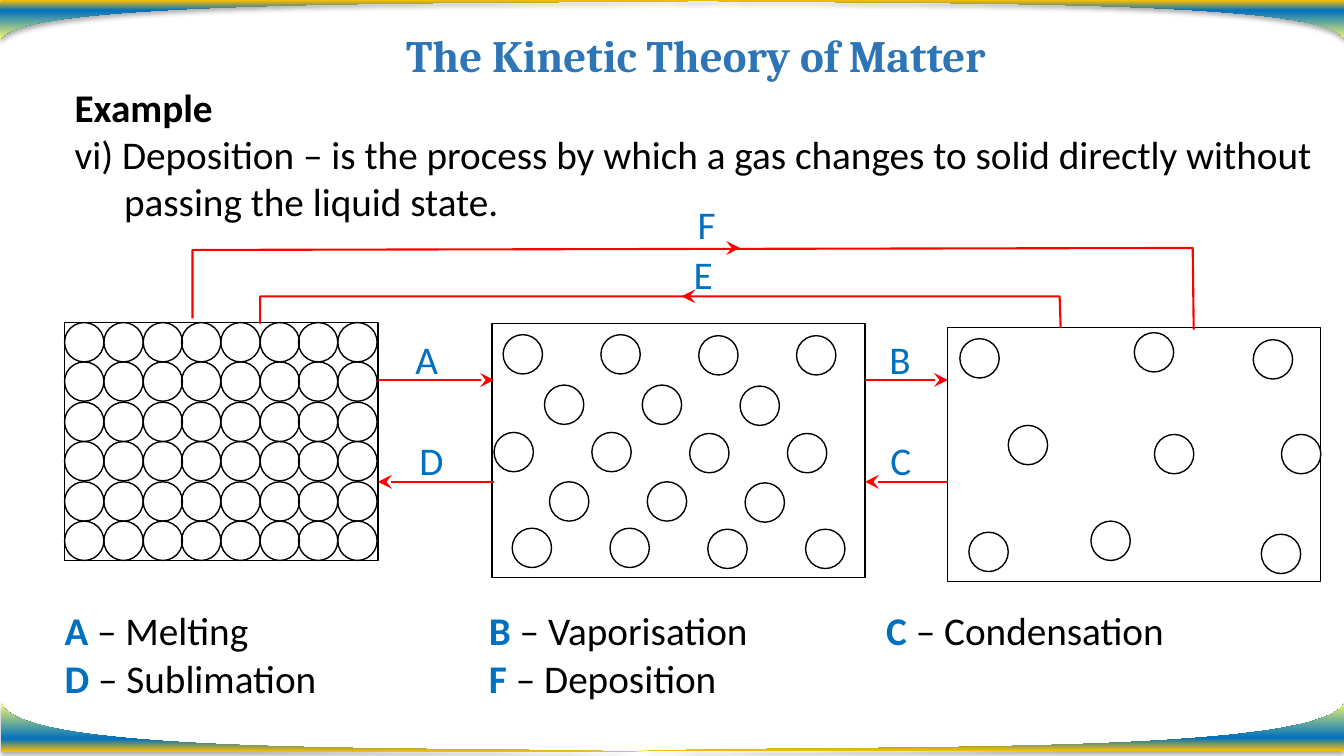
"""Build the slide on changes of state in the kinetic theory of matter."""
from lxml import etree
from pptx import Presentation
from pptx import util as u
from pptx.dml.color import RGBColor
from pptx.enum import shapes, text
from pptx.oxml import parse_xml
from pptx.oxml.ns import nsdecls, qn

PX = 9144
THEME = {
    "title": {"name": "Cambria", "size": u.Pt(32), "bold": True, "color": "2E75B6"},
    "plain": {"name": "Calibri", "size": u.Pt(28), "bold": False, "color": "000000"},
    "strong": {"name": "Calibri", "size": u.Pt(28), "bold": True, "color": "000000"},
    "label": {"name": "Calibri", "size": u.Pt(28), "bold": False, "color": "0070C0"},
    "key": {"name": "Calibri", "size": u.Pt(28), "bold": True, "color": "0070C0"},
    "outline": "000000",
    "arrow": "FF0000",
    "frame": [(0, "FFC000"), (26, "0070C0"), (100, "FFFF66")],
}


def write(p, *pieces):
    for style, words in pieces:
        r = p.add_run()
        r.text = words
        for name, value in THEME[style].items():
            if name == "color":
                r.font.color.rgb = RGBColor.from_string(value)
            else:
                setattr(r.font, name, value)


def polyline(points, close):
    scaled = [(x * PX, y * PX) for x, y in points]
    fb = s.shapes.build_freeform(*scaled[0])
    fb.add_line_segments(scaled[1:], close=close)
    sp = fb.convert_to_shape()
    sp.shadow.inherit = False
    sp.fill.background()
    sp.line.fill.background()
    return sp


prs = Presentation()
prs.slide_width, prs.slide_height = 1333 * PX, 750 * PX
s = prs.slides.add_slide(prs.slide_layouts[1])
title, body = s.placeholders

corners = [
    ((1, 746), (637, 746), (425, 740), (11, 751), (1, 696), 270),
    ((1333, 745), (637, 745), (868, 739), (1322, 750), (1334, 695), 270),
    ((1, 0), (752, 0), (502, 5), (13, -4), (0, 40), 90),
    ((1333, 0), (648, 0), (876, 5), (1322, -4), (1334, 40), 90),
]
for corner, start, *bends, end, angle in corners:
    sp = polyline([corner, start, end], True)
    spPr = sp._element.spPr
    edge = spPr.findall(".//" + qn("a:lnTo"))[1]
    curve = etree.Element(qn("a:cubicBezTo"))
    for x, y in (*bends, end):
        etree.SubElement(curve, qn("a:pt"), x=str(x * PX - sp.left), y=str(y * PX - sp.top))
    edge.getparent().replace(edge, curve)
    stops = "".join(f'<a:gs pos="{pos * 1000}"><a:srgbClr val="{color}"/></a:gs>'
                    for pos, color in THEME["frame"])
    spPr.replace(spPr.find(qn("a:noFill")), parse_xml(
        f'<a:gradFill {nsdecls("a")}><a:gsLst>{stops}</a:gsLst>'
        f'<a:lin ang="{angle * 60000}" scaled="0"/></a:gradFill>'))
    spPr.find(qn("a:effectLst")).append(parse_xml(
        f'<a:outerShdw {nsdecls("a")} blurRad="{u.Pt(3.5)}" dist="{u.Pt(2.2)}" dir="5400000">'
        '<a:srgbClr val="000000"><a:alpha val="32000"/></a:srgbClr></a:outerShdw>'))

for sp, box in ((title, (100, 15, 1181, 85)), (body, (64, 78, 1254, 621))):
    sp.left, sp.top, sp.width, sp.height = (v * PX for v in box)
    sp.text_frame.auto_size = text.MSO_AUTO_SIZE.NONE

title.text_frame.vertical_anchor = text.MSO_ANCHOR.MIDDLE
p = title.text_frame.paragraphs[0]
p.alignment, p.line_spacing = text.PP_ALIGN.CENTER, 0.9
write(p, ("title", "The Kinetic Theory of Matter"))

tf = body.text_frame
tf.vertical_anchor = text.MSO_ANCHOR.TOP
definition = ("vi) Deposition – is the process by which a gas changes to solid "
              "directly without passing the liquid state.")
for p, indent, piece in (
    (tf.paragraphs[0], 0, ("strong", "Example")),
    (tf.add_paragraph(), 49, ("plain", definition)),
):
    pPr = p._p.get_or_add_pPr()
    pPr.set("marL", str(indent * PX))
    pPr.set("indent", str(-indent * PX))
    etree.SubElement(pPr, qn("a:buNone"))
    p.space_before, p.line_spacing = u.Pt(0), 1.0
    write(p, piece)

RECT, OVAL = shapes.MSO_SHAPE.RECTANGLE, shapes.MSO_SHAPE.OVAL
SIZE = 39
liquid_rows = [(499, 332, 4), (540, 382, 3), (490, 429, 4), (545, 478, 3), (508, 524, 4)]
gas = [(952, 336), (1125, 330), (1000, 422), (1243, 337), (1145, 431),
       (1271, 431), (961, 528), (1082, 517), (1251, 530)]
liquid = [(x + 97 * i, y + i // 2) for x, y, count in liquid_rows for i in range(count)]
solid = [(64 + round(38.75 * col), 320 + round(39.4 * row))
         for row in range(6) for col in range(8)]
states = [((488, 321, 370, 252), liquid), ((940, 325, 370, 252), gas),
          ((64, 320, 311, 236), solid)]
for container, particles in states:
    outlines = [(RECT, container)] + [(OVAL, (x, y, SIZE, SIZE)) for x, y in particles]
    for kind, box in outlines:
        sp = s.shapes.add_shape(kind, *(v * PX for v in box))
        sp.shadow.inherit = False
        sp.fill.background()
        sp.line.color.rgb = RGBColor.from_string(THEME["outline"])
        sp.line.width = u.Pt(1)

for points in (
    [(191, 316), (191, 248), (1183, 246), (1184, 327)],
    [(258, 321), (258, 294), (1051, 294), (1052, 325)],
):
    sp = polyline(points, False)
    sp.line.color.rgb = RGBColor.from_string(THEME["arrow"])
    sp.line.width = u.Pt(1.5)

arrows = [(375, 490, 377, 1.5), (490, 375, 478, 1.5), (858, 940, 377, 1.5),
          (940, 858, 478, 1.5), (659, 734, 246, 0.25), (752, 676, 294, 0.25)]
for start, end, y, width in arrows:
    cn = s.shapes.add_connector(shapes.MSO_CONNECTOR.STRAIGHT,
                                start * PX, y * PX, end * PX, y * PX)
    cn.line.color.rgb = RGBColor.from_string(THEME["arrow"])
    cn.line.width = u.Pt(width)
    etree.SubElement(cn.line._get_or_add_ln(), qn("a:tailEnd"), type="stealth", w="lg", len="lg")
    etree.SubElement(cn._element.spPr, qn("a:effectLst"))

labels = [("A", 412, 333), ("D", 416, 433), ("B", 882, 333),
          ("C", 883, 433), ("E", 688, 248), ("F", 692, 199)]
boxes = [((x, y, 38, 47), [[("label", letter)]]) for letter, x, y in labels]
boxes.append(((64, 602, 1246, 94), [
    [("key", "A"), ("plain", " – Melting\t"), ("key", "B"), ("plain", " – Vaporisation\t"),
     ("key", "C"), ("plain", " – Condensation")],
    [("key", "D"), ("plain", " – Sublimation\t"), ("key", "F"), ("plain", " – Deposition")],
]))
frame_format = {"word_wrap": True, "margin_left": 0, "margin_right": 0, "margin_top": 0,
                "margin_bottom": 0, "auto_size": text.MSO_AUTO_SIZE.SHAPE_TO_FIT_TEXT}
for box, lines in boxes:
    tf = s.shapes.add_textbox(*(v * PX for v in box)).text_frame
    for name, value in frame_format.items():
        setattr(tf, name, value)
    for i, pieces in enumerate(lines):
        p = tf.add_paragraph() if i else tf.paragraphs[0]
        if len(pieces) > 1:
            tabs = etree.SubElement(p._p.get_or_add_pPr(), qn("a:tabLst"))
            for stop in (421, 815):
                etree.SubElement(tabs, qn("a:tab"), pos=str(stop * PX), algn="l")
        write(p, *pieces)

prs.save("out.pptx")
